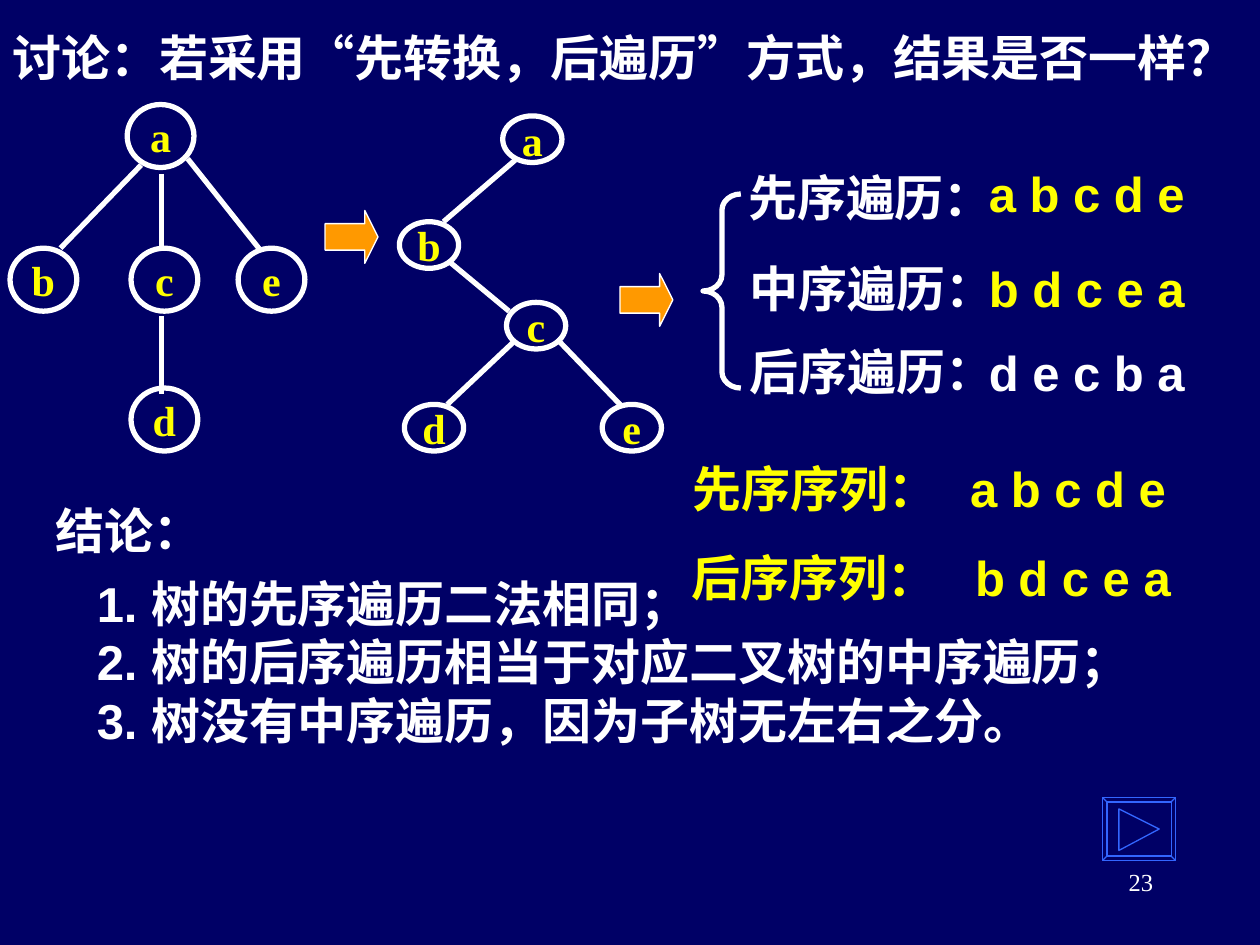
from dataclasses import dataclass

from lxml.etree import SubElement
from pptx import Presentation
from pptx.dml.color import RGBColor
from pptx.enum.shapes import MSO_CONNECTOR, MSO_SHAPE
from pptx.enum.text import MSO_ANCHOR, MSO_AUTO_SIZE, PP_ALIGN
from pptx.oxml.ns import qn
from pptx.util import Inches, Pt


@dataclass(frozen=True)
class Theme:
    back: RGBColor = RGBColor(0x00, 0x00, 0x66)
    white: RGBColor = RGBColor(0xFF, 0xFF, 0xFF)
    yellow: RGBColor = RGBColor(0xFF, 0xFF, 0x00)
    orange: RGBColor = RGBColor(0xFF, 0x99, 0x00)
    blue: RGBColor = RGBColor(0x33, 0x66, 0xFF)
    sans: str = "Arial"
    serif: str = "Times New Roman"
    body: int = 28
    node: int = 24
    page: int = 14
    thick: float = 3
    thin: float = 0.75


THEME = Theme()

# Nodes are (name, left, top); edges are (x1, y1, x2, y2).
TREE_SIZE = (0.53, 0.5)
TREE_NODES = [("a", 1.01, 0.83), ("b", 0.08, 1.97), ("c", 1.04, 1.97),
              ("e", 1.89, 1.97), ("d", 1.04, 3.08)]
TREE_EDGES = [(1.12, 1.31, 0.48, 1.97), (1.49, 1.26, 2.07, 1.99),
              (1.28, 1.38, 1.28, 1.99), (1.28, 2.51, 1.28, 3.13)]

BINARY_SIZE = (0.47, 0.37)
BINARY_NODES = [("a", 3.99, 0.92), ("b", 3.17, 1.76), ("c", 4.02, 2.4),
                ("d", 3.21, 3.21), ("e", 4.78, 3.21)]
BINARY_EDGES = [(4.09, 1.27, 3.52, 1.76), (3.57, 2.08, 4.04, 2.47),
                (4.07, 2.72, 3.55, 3.21), (4.42, 2.69, 4.94, 3.23)]

# Rows are (label, left, top, order, left, top, label colour, order colour).
ORDERS = [
    ("先序遍历：", 5.84, 1.28, "a b c d e", 7.75, 1.25, THEME.white, THEME.yellow),
    ("中序遍历：", 5.85, 2, "b d c e a", 7.75, 2, THEME.white, THEME.yellow),
    ("后序遍历：", 5.85, 2.66, "d e c b a", 7.75, 2.67, THEME.white, THEME.white),
    ("先序序列：", 5.4, 3.59, "a b c d e", 7.6, 3.59, THEME.yellow, THEME.yellow),
    ("后序序列：", 5.39, 4.3, "b d c e a", 7.64, 4.3, THEME.yellow, THEME.yellow),
]

TITLE = ["讨论：若采用", "“", "先转换，后遍历", "”", "方式，结果是否一样？"]
POINTS = ["1. 树的先序遍历二法相同；",
          "2. 树的后序遍历相当于对应二叉树的中序遍历；",
          "3. 树没有中序遍历，因为子树无左右之分。"]


def box(left, top, width, height):
    return Inches(left), Inches(top), Inches(width), Inches(height)


def style(font, face, size, color, bold=True):
    font.name = face
    font.size = Pt(size)
    font.bold = bold
    font.color.rgb = color


def add_text(slide, place, lines, color=THEME.white):
    """Add a text box; a line is a string or a list of run texts."""
    frame = slide.shapes.add_textbox(*box(*place)).text_frame
    frame.word_wrap = True
    frame.auto_size = MSO_AUTO_SIZE.SHAPE_TO_FIT_TEXT
    for i, line in enumerate(lines):
        para = frame.add_paragraph() if i else frame.paragraphs[0]
        for part in [line] if isinstance(line, str) else line:
            run = para.add_run()
            run.text = part
            face = THEME.serif if part in "“”" else THEME.sans
            style(run.font, face, THEME.body, color)


def add_page(slide, number):
    frame = slide.shapes.add_textbox(*box(7.17, 6.83, 2.08, 0.5)).text_frame
    frame.word_wrap = True
    para = frame.paragraphs[0]
    para.text = number
    para.alignment = PP_ALIGN.RIGHT
    style(para.runs[0].font, THEME.serif, THEME.page, THEME.white, False)


def paint(shape, line, width, fill=None):
    shape.shadow.inherit = False
    if fill is None:
        shape.fill.background()
    else:
        shape.fill.solid()
        shape.fill.fore_color.rgb = fill
    shape.line.color.rgb = line
    shape.line.width = Pt(width)


def add_node(shapes, name, place):
    node = shapes.add_shape(MSO_SHAPE.OVAL, *box(*place))
    paint(node, THEME.white, THEME.thick)
    frame = node.text_frame
    frame.text = name
    frame.word_wrap = False
    frame.vertical_anchor = MSO_ANCHOR.MIDDLE
    para = frame.paragraphs[0]
    para.alignment = PP_ALIGN.CENTER
    style(para.runs[0].font, THEME.serif, THEME.node, THEME.yellow)


def add_edge(shapes, ends):
    edge = shapes.add_connector(MSO_CONNECTOR.STRAIGHT, *map(Inches, ends))
    edge.line.color.rgb = THEME.white
    edge.line.width = Pt(THEME.thick)
    SubElement(edge._element.spPr, qn("a:effectLst"))


def add_tree(slide, nodes, edges, size):
    shapes = slide.shapes.add_group_shape().shapes
    for name, left, top in nodes:
        add_node(shapes, name, (left, top, *size))
    for ends in edges:
        add_edge(shapes, ends)


def add_arrow(slide, left, top):
    arrow = slide.shapes.add_shape(MSO_SHAPE.RIGHT_ARROW, *box(left, top, 0.42, 0.42))
    arrow.adjustments[0] = 0.5
    arrow.adjustments[1] = 0.25
    paint(arrow, THEME.white, THEME.thin, THEME.orange)


def add_brace(slide):
    brace = slide.shapes.add_shape(MSO_SHAPE.LEFT_BRACE, *box(5.58, 1.54, 0.3, 1.54))
    brace.adjustments[0] = 0.43
    paint(brace, THEME.white, THEME.thick)


def add_button(slide):
    """Add the bevelled frame with the play triangle."""
    shapes = slide.shapes.add_group_shape().shapes
    frame = shapes.add_shape(MSO_SHAPE.BEVEL, *box(8.75, 6.33, 0.58, 0.5))
    frame.adjustments[0] = 0.07
    pen = shapes.build_freeform(Inches(8.88), Inches(6.42))
    pen.add_line_segments([(Inches(9.2), Inches(6.58)), (Inches(8.88), Inches(6.75))])
    for part in (frame, pen.convert_to_shape()):
        paint(part, THEME.blue, THEME.thin)


def main():
    deck = Presentation()
    deck.slide_width, deck.slide_height = Inches(10), Inches(7.5)
    slide = deck.slides.add_slide(deck.slide_layouts[6])
    slide.background.fill.solid()
    slide.background.fill.fore_color.rgb = THEME.back

    add_page(slide, "23")
    add_text(slide, (0, 0.17, 9.67, 0.57), [TITLE])
    add_tree(slide, BINARY_NODES, BINARY_EDGES, BINARY_SIZE)
    add_arrow(slide, 2.58, 1.67)
    add_brace(slide)
    add_button(slide)
    add_tree(slide, TREE_NODES, TREE_EDGES, TREE_SIZE)
    for label, x, y, order, left, top, tint, color in ORDERS:
        add_text(slide, (x, y, 2.14, 0.57), [label], tint)
        add_text(slide, (left, top, 1.92, 0.57), [order], color)
    add_text(slide, (0.67, 4.5, 8.5, 1.5), POINTS)
    add_arrow(slide, 4.92, 2.17)
    add_text(slide, (0.34, 3.92, 1.36, 0.57), ["结论："])
    deck.save("out.pptx")


if __name__ == "__main__":
    main()
